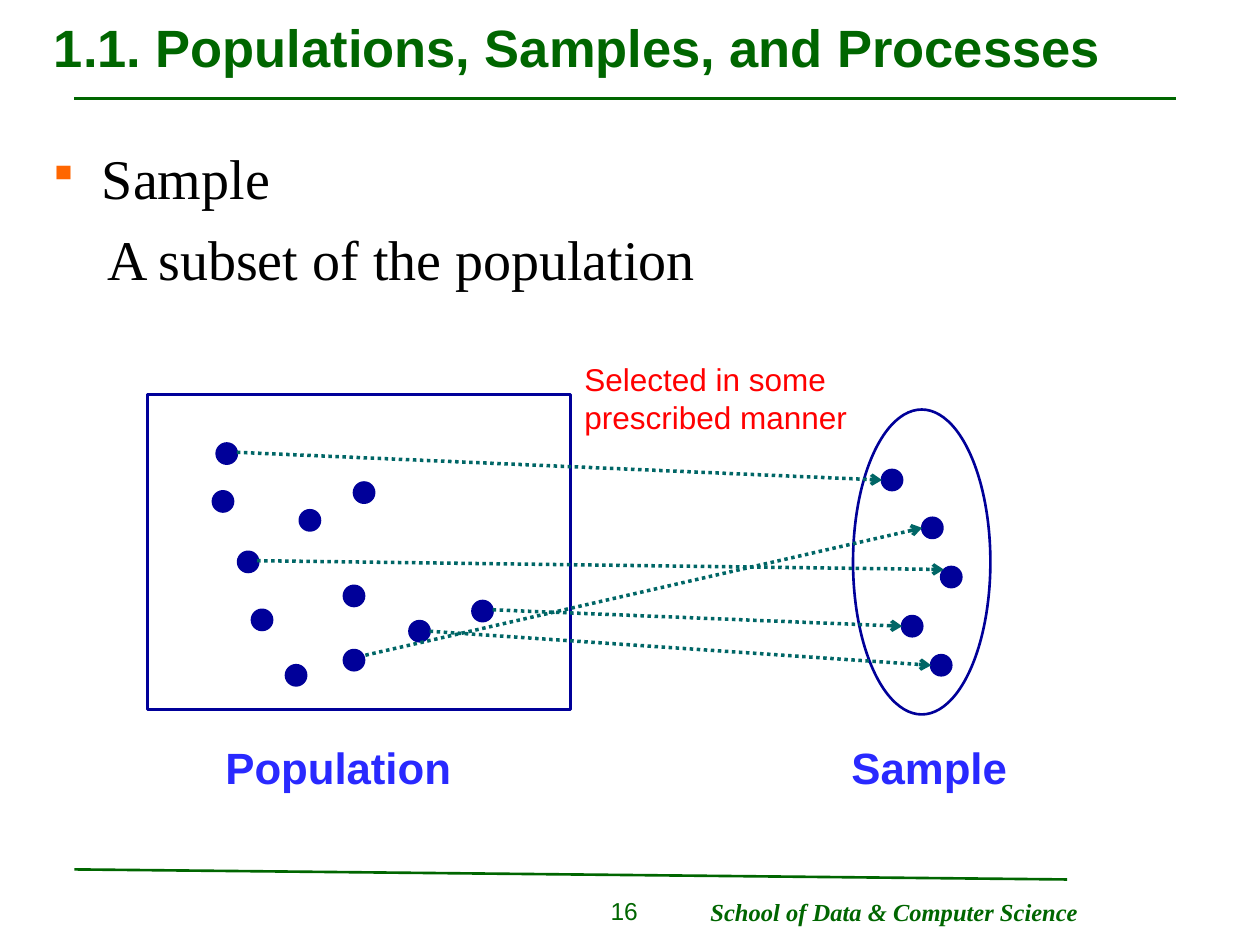
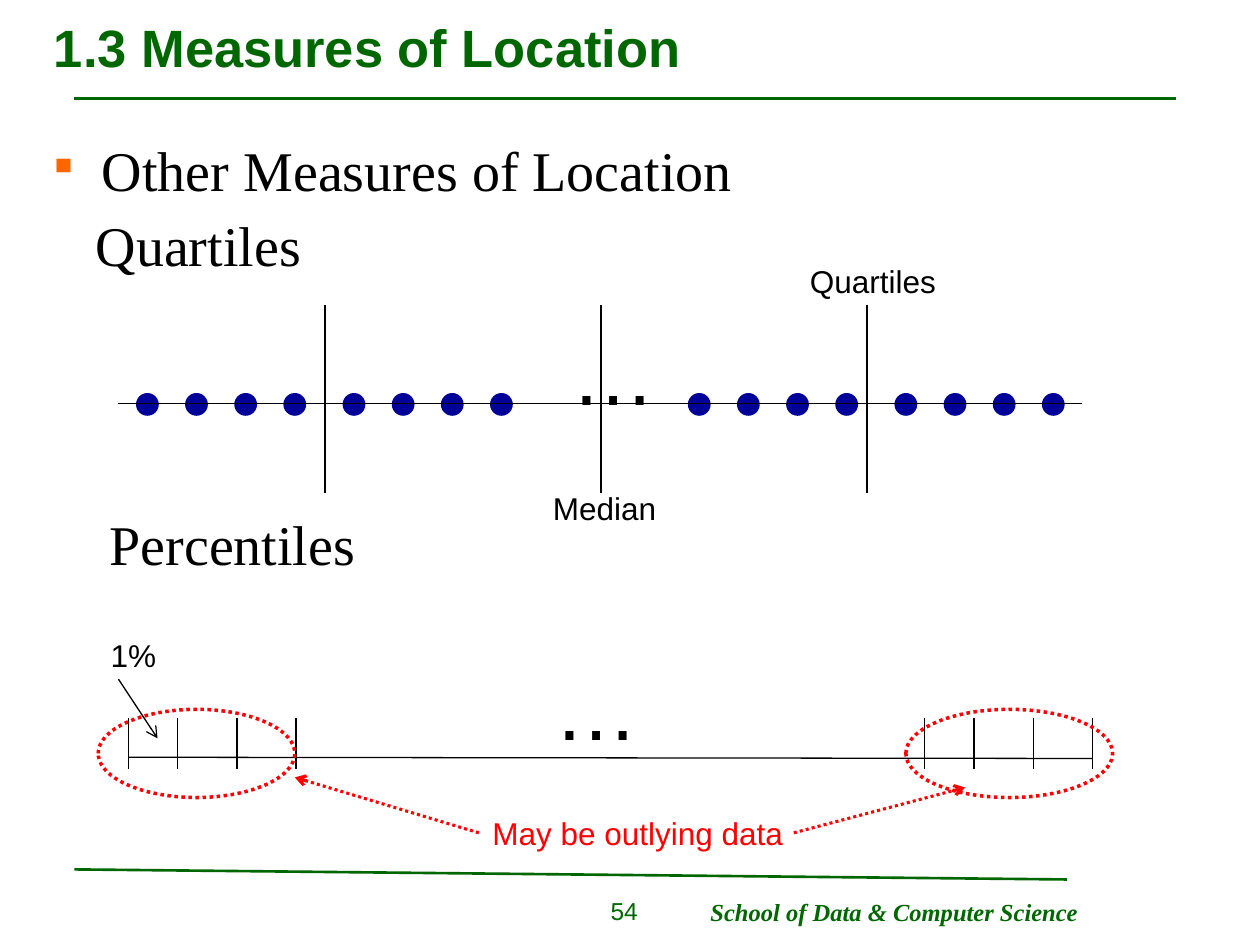
from lxml import etree
from pptx import Presentation
from pptx.dml.color import RGBColor
from pptx.enum.dml import MSO_LINE
from pptx.enum.shapes import MSO_CONNECTOR, MSO_SHAPE
from pptx.enum.text import MSO_ANCHOR, MSO_AUTO_SIZE, PP_ALIGN
from pptx.oxml.ns import qn
from pptx.util import Inches, Pt

OVAL, RECTANGLE = MSO_SHAPE.OVAL, MSO_SHAPE.RECTANGLE
STRAIGHT = MSO_CONNECTOR.STRAIGHT
DOTTED = MSO_LINE.ROUND_DOT
MIDDLE = MSO_ANCHOR.MIDDLE
FIT_TEXT = MSO_AUTO_SIZE.SHAPE_TO_FIT_TEXT
LEFT, RIGHT = PP_ALIGN.LEFT, PP_ALIGN.RIGHT

GREEN = RGBColor(0x00, 0x66, 0x00)
NAVY = RGBColor(0x00, 0x00, 0x99)
BLUE = RGBColor(0x29, 0x29, 0xFF)
TEAL = RGBColor(0x00, 0x66, 0x66)
RED = RGBColor(0xFF, 0x00, 0x00)
ORANGE = RGBColor(0xFF, 0x66, 0x00)
BLACK = RGBColor(0x00, 0x00, 0x00)

SANS, SERIF = "Arial", "Times New Roman"
DOT_SIZE = 0.16
BODY_GAP = 8


def set_font(para, size, color, name=SANS, bold=False, italic=False):
    font = para.font
    font.name, font.size = name, Pt(size)
    font.bold, font.italic = bold, italic
    font.color.rgb = color


def add_box(page, left, top, width, height, wrap=True):
    box = page.shapes.add_textbox(Inches(left), Inches(top),
                                  Inches(width), Inches(height))
    box.text_frame.word_wrap = wrap
    return box.text_frame


def add_label(page, place, lines, size=18, color=BLACK, **style):
    """One-style label that fits its text; each line is a paragraph."""
    frame = add_box(page, *place, wrap=False)
    frame.auto_size = FIT_TEXT
    frame.margin_right = 0  # leaves room so that tight lines stay whole
    frame.text = "\n".join(lines)
    for para in frame.paragraphs:
        set_font(para, size, color, **style)


def add_line(page, start, end, color=BLACK, width=0.75, dotted=False, arrow=False):
    line = page.shapes.add_connector(STRAIGHT, *map(Inches, start + end))
    line.line.color.rgb = color
    line.line.width = Pt(width)
    if dotted:
        line.line.dash_style = DOTTED
    properties = line._element.spPr
    if arrow:
        etree.SubElement(properties.find(qn("a:ln")), qn("a:tailEnd"), type="arrow")
    etree.SubElement(properties, qn("a:effectLst"))


def add_outline(page, kind, place, color=NAVY, width=1.5, dotted=False, fill=None):
    shape = page.shapes.add_shape(kind, *map(Inches, place))
    shape.shadow.inherit = False
    if fill is None:
        shape.fill.background()
    else:
        shape.fill.solid()
        shape.fill.fore_color.rgb = fill
    shape.line.color.rgb = color
    shape.line.width = Pt(width)
    if dotted:
        shape.line.dash_style = DOTTED


def add_dot(page, left, top):
    add_outline(page, OVAL, (left, top, DOT_SIZE, DOT_SIZE), fill=NAVY)


def add_body(page, heading, details, spacing=1.0):
    """Bulleted heading, then details given as (text, indent, space before)."""
    frame = add_box(page, 0.33, 1.09, 9.34, 5.78)
    frame.margin_left = frame.margin_top = Inches(0.05)
    for number, (text, indent, gap) in enumerate([(heading, 0.43, 0)] + details):
        para = frame.add_paragraph() if number else frame.paragraphs[0]
        para.text = text
        para.line_spacing = spacing
        properties = para._p.get_or_add_pPr()
        properties.set("marL", str(Inches(indent)))
        if number:
            para.space_before = Pt(gap)
        else:
            properties.set("indent", str(-Inches(indent)))
            bullet_color = etree.SubElement(properties, qn("a:buClr"))
            etree.SubElement(bullet_color, qn("a:srgbClr"), val=str(ORANGE))
            etree.SubElement(properties, qn("a:buSzPct"), val="75000")
            etree.SubElement(properties, qn("a:buChar"), char="▪")
        set_font(para, 32, BLACK, SERIF)


def add_page(deck, title, number):
    """Blank page with the shared rules, title and footer."""
    page = deck.slides.add_slide(deck.slide_layouts[6])
    add_line(page, (0.59, 0.78), (9.33, 0.78), GREEN, 1.5)
    add_line(page, (0.59, 6.9), (8.47, 6.98), GREEN, 1.5)
    add_label(page, (5.54, 7.07, 3.12, 0.34), ["School of Data & Computer Science"],
              14, GREEN, name=SERIF, bold=True, italic=True)
    for place, text, size, align in (((0.33, 0.03, 9.34, 0.68), title, 30, LEFT),
                                     ((4.14, 7.06, 1.02, 0.36), number, 14, RIGHT)):
        frame = add_box(page, *place)
        frame.text = text
        para = frame.paragraphs[0]
        para.alignment = align
        set_font(para, size, GREEN, bold=text == title)
        if text == title:
            frame.vertical_anchor = MIDDLE
    return page


def build_sample_page(deck):
    page = add_page(deck, "1.1. Populations, Samples, and Processes", "16")
    add_body(page, "Sample", [("A subset of the population", 0.47, BODY_GAP)])

    # Population and sample outlines
    add_outline(page, RECTANGLE, (1.17, 3.13, 3.36, 2.5))
    add_outline(page, OVAL, (6.77, 3.25, 1.09, 2.42))

    # Members of each set
    population = [(1.72, 3.52), (1.89, 4.38), (2.81, 3.83), (2.73, 5.16),
                  (3.75, 4.77), (2, 4.84), (1.69, 3.9), (2.73, 4.65),
                  (2.27, 5.28), (2.38, 4.05), (3.25, 4.93)]
    sample = [(7, 3.73), (7.32, 4.11), (7.47, 4.5), (7.16, 4.89), (7.39, 5.2)]
    for left, top in population + sample:
        add_dot(page, left, top)

    # Selection arrows
    for start, end in (((1.88, 3.59), (7, 3.81)), ((2.9, 5.2), (7.32, 4.19)),
                       ((2.04, 4.45), (7.49, 4.52)), ((3.91, 4.84), (7.16, 4.97)),
                       ((3.41, 5.01), (7.39, 5.28))):
        add_line(page, start, end, TEAL, 2, dotted=True, arrow=True)

    # Labels
    add_label(page, (1.69, 5.83, 1.99, 0.52), ["Population"], 25, BLUE, bold=True)
    add_label(page, (6.66, 5.83, 1.43, 0.52), ["Sample"], 25, BLUE, bold=True)
    add_label(page, (4.54, 2.81, 2.28, 0.7),
              ["Selected in some", "prescribed manner"], color=RED)


def build_location_page(deck):
    page = add_page(deck, "1.3 Measures of Location", "54")
    add_body(page, "Other Measures of Location",
             [("Quartiles", 0.38, BODY_GAP), ("Percentiles", 0.49, 136)], 0.9)

    # Quartiles: four runs of four dots, cut by three lines
    for run_left in (1.09, 2.73, 5.47, 7.11):
        for step in range(4):
            add_dot(page, run_left + 0.39 * step, 3.13)
    add_label(page, (4.44, 2.5, 0.86, 0.9), ["…"], 48)
    add_line(page, (0.94, 3.2), (8.59, 3.2))
    for x in (2.58, 4.77, 6.88):
        add_line(page, (x, 2.42), (x, 3.91))
    add_label(page, (4.29, 3.83, 1.02, 0.4), ["Median"])
    add_label(page, (6.33, 2.03, 1.2, 0.4), ["Quartiles"])

    # Percentiles: the same four ticks at both ends of the axis
    add_line(page, (1.02, 6.01), (8.67, 6.02))
    for end_left in (1.02, 7.34):
        for offset in (0, 0.39, 0.86, 1.33):
            x = end_left + offset
            add_line(page, (x, 5.7), (x, 6.1))
    add_label(page, (4.3, 5.16, 0.86, 0.9), ["…"], 48)
    add_line(page, (0.94, 5.39), (1.25, 5.86), arrow=True)
    add_label(page, (0.78, 5, 0.56, 0.4), ["1%"])

    # Outlying ends
    for left, width in ((0.78, 1.56), (7.19, 1.64)):
        add_outline(page, OVAL, (left, 5.63, width, 0.7), RED, 2, dotted=True)
    add_label(page, (3.81, 6.41, 2.5, 0.4), ["May be outlying data"], color=RED)
    for start, end in (((3.8, 6.61), (2.34, 6.17)), ((6.3, 6.61), (7.66, 6.25))):
        add_line(page, start, end, RED, 1.75, dotted=True, arrow=True)


def main():
    deck = Presentation()
    deck.slide_width, deck.slide_height = Inches(10), Inches(7.5)
    build_sample_page(deck)
    build_location_page(deck)
    deck.save("out.pptx")


if __name__ == "__main__":
    main()
